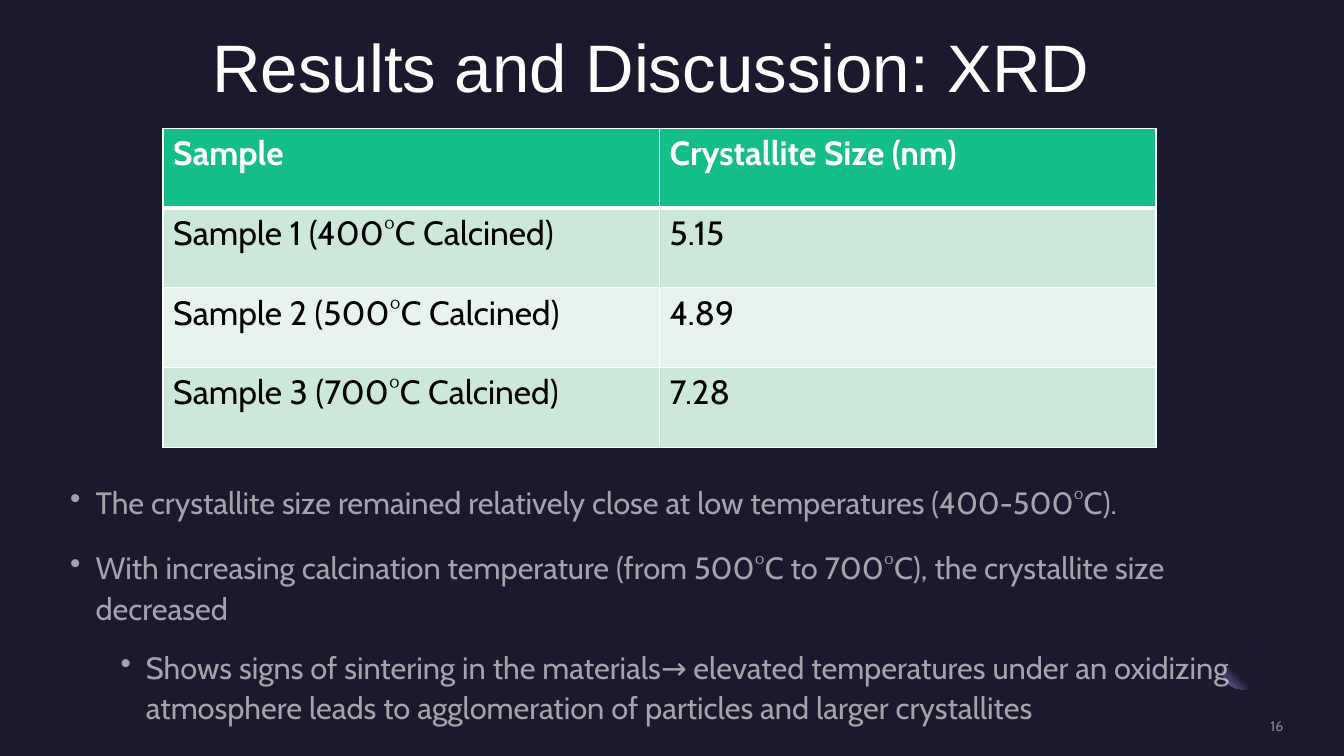
from lxml import etree
from pptx import Presentation
from pptx.dml.color import RGBColor
from pptx.enum.shapes import MSO_SHAPE
from pptx.enum.text import MSO_ANCHOR, PP_ALIGN
from pptx.oxml.ns import qn
from pptx.util import Cm, Pt

CENTER, RIGHT = PP_ALIGN.CENTER, PP_ALIGN.RIGHT
MIDDLE = MSO_ANCHOR.MIDDLE
ELLIPSE, RECTANGLE = MSO_SHAPE.OVAL, MSO_SHAPE.RECTANGLE
NAVY, WHITE = "1B192E", "FFFFFF"


def paint(fill, color, opacity=100):
    """Make a shape, cell, background or font fill solid, with opacity in percent."""
    fill.solid()
    fill.fore_color.rgb = RGBColor.from_string(color)
    if opacity < 100:
        color_element = fill._xPr.find(qn("a:solidFill"))[0]
        etree.SubElement(color_element, qn("a:alpha"), val=str(opacity * 1000))


def style(para, size, color, opacity=100, name="Cabin", bold=False):
    para.font.size, para.font.name, para.font.bold = Pt(size), name, bold
    paint(para.font.fill, color, opacity)


deck = Presentation()
deck.slide_width, deck.slide_height = Cm(33.87), Cm(19.05)
page = deck.slides.add_slide(deck.slide_layouts[6])
paint(page.background.fill, NAVY)

# Corner glow, dimmed by a translucent rectangle
glow = page.shapes.add_shape(ELLIPSE, Cm(30.81), Cm(16.38), Cm(0.99), Cm(0.99))
glow.fill.gradient()
for stop, color, position in zip(glow.fill.gradient_stops, (NAVY, "7771B2"), (0.6, 1)):
    stop.color.rgb = RGBColor.from_string(color)
    stop.position = position
gradient = glow.element.spPr.find(qn("a:gradFill"))
gradient.remove(gradient.find(qn("a:lin")))
circle = etree.Element(qn("a:path"), path="circle")
etree.SubElement(circle, qn("a:fillToRect"), l="100000", b="100000")
gradient.find(qn("a:gsLst")).addnext(circle)

veil = page.shapes.add_shape(RECTANGLE, Cm(31.8), Cm(16.18), Cm(1.04), Cm(0.99))
paint(veil.fill, NAVY, 80)
for shape in (glow, veil):
    shape.line.fill.background()
    shape.shadow.inherit = False

# Title and page number
title = page.shapes.add_textbox(Cm(0.99), Cm(0.86), Cm(30.84), Cm(3.71))
number = page.shapes.add_textbox(Cm(27.64), Cm(18.08), Cm(4.7), Cm(0.43))
for box, text, align in ((title, "Results and Discussion: XRD", CENTER), (number, "16", RIGHT)):
    frame = box.text_frame
    frame.word_wrap = True
    frame.margin_left = frame.margin_top = frame.margin_right = frame.margin_bottom = 0
    frame.text = text
    frame.paragraphs[0].alignment = align
title.text_frame.paragraphs[0].line_spacing = 0.9
style(title.text_frame.paragraphs[0], 48, WHITE, name="Arial")
number.text_frame.vertical_anchor = MIDDLE
style(number.text_frame.paragraphs[0], 10, "A6A6A6", 80)

# Findings
findings = [
    (0, "The crystallite size remained relatively close at low temperatures (400-500°C)."),
    (0, "With increasing calcination temperature (from 500°C to 700°C), "
        "the crystallite size decreased"),
    (1, "Shows signs of sintering in the materials→ elevated temperatures under an oxidizing "
        "atmosphere leads to agglomeration of particles and larger crystallites"),
]
box = page.shapes.add_textbox(Cm(1.52), Cm(11.96), Cm(30.81), Cm(6.25))
frame = box.text_frame
frame.word_wrap = True
for index, (level, text) in enumerate(findings):
    para = frame.add_paragraph() if index else frame.paragraphs[0]
    para.text = text
    para.level = level
    para.line_spacing = 1.1
    para.space_before, para.space_after = Pt(5 if level else 10), Pt(8)
    style(para, 22, WHITE, 60)
    properties = para._p.get_or_add_pPr()
    properties.set("marL", str(Cm(0.64 + 1.27 * level)))
    properties.set("indent", str(-Cm(0.64)))
    bullet = etree.Element(qn("a:buChar"), char="•")
    properties.find(qn("a:defRPr")).addprevious(bullet)

# Crystallite sizes
rows = [
    ("Sample", "Crystallite Size (nm)"),
    ("Sample 1 (400°C Calcined)", "5.15"),
    ("Sample 2 (500°C Calcined)", "4.89"),
    ("Sample 3 (700°C Calcined)", "7.28"),
]
row_fills = ["13BE89", "CCE8DA", "E7F4ED", "CCE8DA"]
table = page.shapes.add_table(4, 2, Cm(4.11), Cm(3.23), Cm(25.02), Cm(8.04)).table
for row_index, (values, color) in enumerate(zip(rows, row_fills)):
    header = row_index == 0
    for column_index, value in enumerate(values):
        cell = table.cell(row_index, column_index)
        cell.text = value
        style(cell.text_frame.paragraphs[0], 24, WHITE if header else "000000", bold=header)
        properties = cell._tc.get_or_add_tcPr()
        for side in "LRTB":
            thick = (header and side == "B") or (row_index == 1 and side == "T")
            border = etree.SubElement(properties, qn(f"a:ln{side}"), w=str(Pt(3 if thick else 1)))
            solid = etree.SubElement(border, qn("a:solidFill"))
            etree.SubElement(solid, qn("a:srgbClr"), val=WHITE)
        paint(cell.fill, color)

deck.save("out.pptx")
